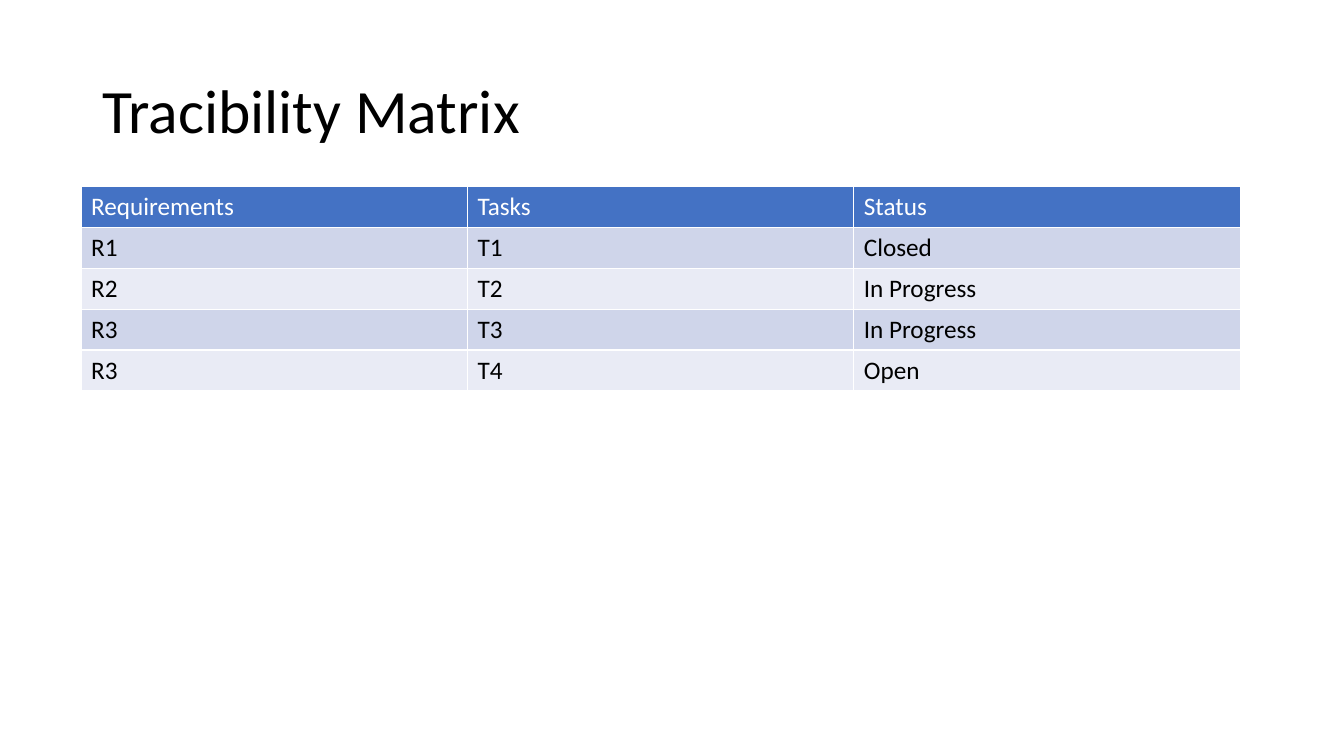
"""Build the Tracibility Matrix slide: a title above a requirements table."""
from pptx import Presentation
from pptx.dml.color import RGBColor as RGB
from pptx.enum.text import MSO_ANCHOR as Anchor
from pptx.util import Pt

COLORS = {
    "text": "000000",
    "header": "4472C4",
    "header_text": "FFFFFF",
    "odd_row": "CFD5EA",
    "even_row": "E9EBF5",
}
MATRIX = [
    ("Requirements", "Tasks", "Status"),
    ("R1", "T1", "Closed"),
    ("R2", "T2", "In Progress"),
    ("R3", "T3", "In Progress"),
    ("R3", "T4", "Open"),
]
COLUMN_WIDTH, ROW_HEIGHT = 276, 29.2


def write(paragraph, text, size, color):
    run = paragraph.add_run()
    run.text = text
    for name, value in {"name": "Calibri", "size": Pt(size), "bold": False}.items():
        setattr(run.font, name, value)
    run.font.color.rgb = RGB.from_string(COLORS[color])


deck = Presentation()
deck.slide_width, deck.slide_height = Pt(960), Pt(540)
slide = deck.slides.add_slide(deck.slide_layouts[6])

title = slide.shapes.add_textbox(Pt(66), Pt(28.75), Pt(828), Pt(104.4)).text_frame
title.word_wrap = True
title.vertical_anchor = Anchor.MIDDLE
title.paragraphs[0].line_spacing = 0.9
write(title.paragraphs[0], "Tracibility Matrix", 44, "text")

matrix = slide.shapes.add_table(
    len(MATRIX), len(MATRIX[0]), Pt(57.9), Pt(133.2),
    Pt(COLUMN_WIDTH * len(MATRIX[0])), Pt(ROW_HEIGHT * len(MATRIX)),
).table
for column in matrix.columns:
    column.width = Pt(COLUMN_WIDTH)

for row, entries in enumerate(MATRIX):
    matrix.rows[row].height = Pt(ROW_HEIGHT)
    band = "header" if row == 0 else "odd_row" if row % 2 else "even_row"
    for col, entry in enumerate(entries):
        cell = matrix.cell(row, col)
        cell.fill.solid()
        cell.fill.fore_color.rgb = RGB.from_string(COLORS[band])
        write(cell.text_frame.paragraphs[0], entry, 18, "text" if row else "header_text")

deck.save("out.pptx")
